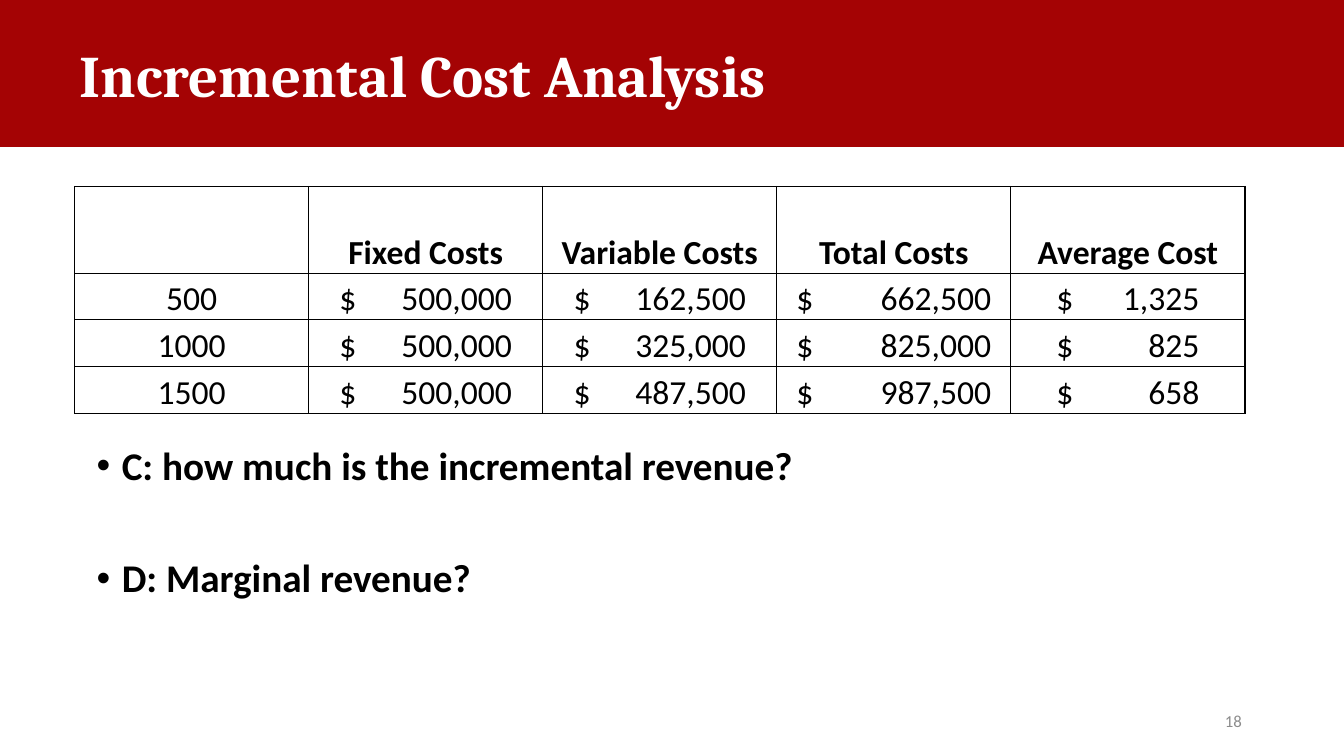
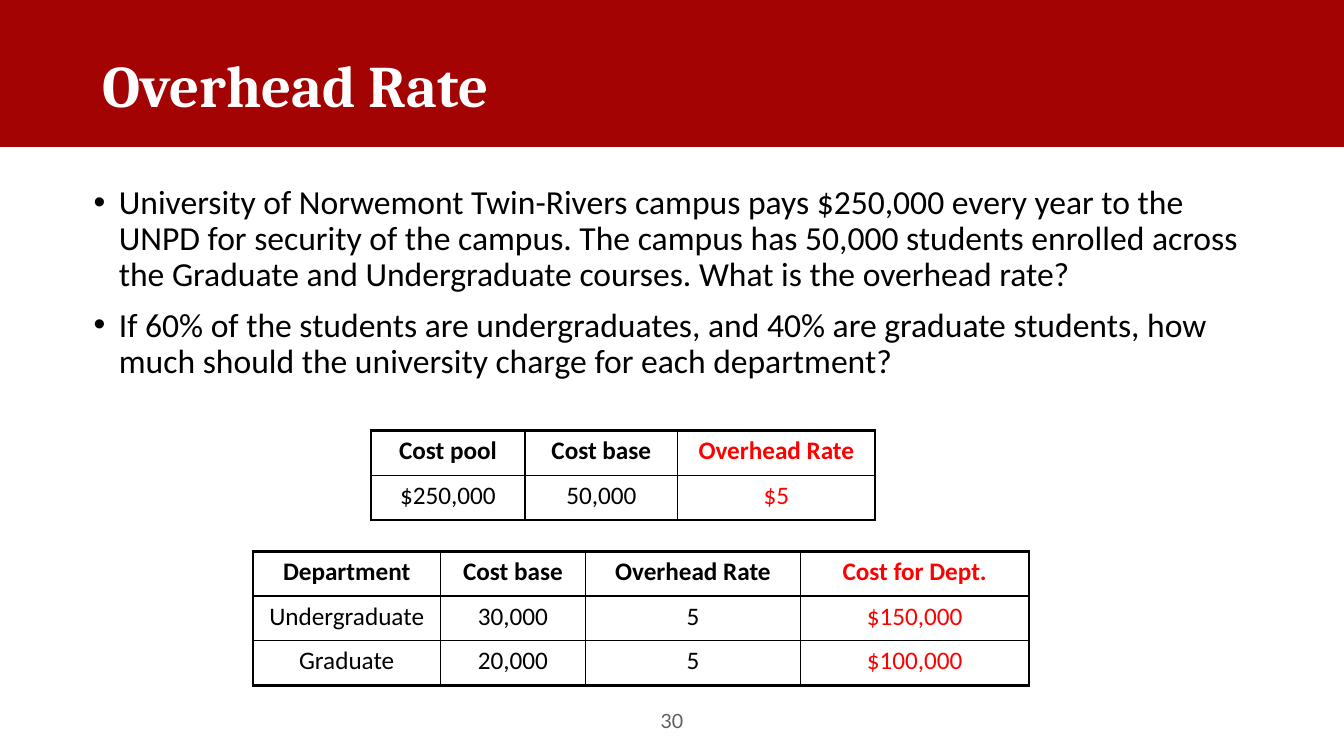
from dataclasses import dataclass
from typing import NamedTuple

from lxml import etree
from pptx import Presentation
from pptx.dml.color import RGBColor
from pptx.enum.shapes import MSO_SHAPE
from pptx.enum.text import MSO_ANCHOR, MSO_AUTO_SIZE, PP_ALIGN
from pptx.oxml.ns import qn
from pptx.util import Pt

LEFT, CENTER, RIGHT = PP_ALIGN.LEFT, PP_ALIGN.CENTER, PP_ALIGN.RIGHT
TOP, MIDDLE, BOTTOM = MSO_ANCHOR.TOP, MSO_ANCHOR.MIDDLE, MSO_ANCHOR.BOTTOM
RECTANGLE = MSO_SHAPE.RECTANGLE
NO_FIT = MSO_AUTO_SIZE.NONE
TITLE_ONLY = 5


@dataclass(frozen=True)
class Theme:
    """Colours, fonts and type sizes of the deck."""

    band: str = "A40304"
    title: str = "FFFFFF"
    ink: str = "000000"
    accent: str = "FF0000"
    grey: str = "8C8C8C"
    dark_grey: str = "5F5F5F"
    title_font: str = "Cambria"
    body_font: str = "Calibri"
    number_font: str = "Lato"
    title_size: float = 42
    question_size: float = 28
    body_size: float = 24
    table_size: float = 18
    number_size: float = 14
    small_size: float = 12
    thin: float = 1
    thick: float = 2.25
    leading: float = 0.9
    bullet_gap: float = 10
    bullet_indent: float = 18


class Box(NamedTuple):
    """A region in points."""

    left: float
    top: float
    width: float
    height: float

    def lengths(self):
        """Return the four measures as lengths."""
        return [Pt(measure) for measure in self]


THEME = Theme()
PAGE = Box(0, 0, 960, 540)
BAND = Box(0, 0, PAGE.width, 104.4)


def write(paragraph, text, *, size, font=THEME.body_font, color=THEME.ink,
          bold=False, align=LEFT, leading=None, before=None):
    """Add formatted text to a paragraph."""
    paragraph.alignment = align
    if leading:
        paragraph.line_spacing = leading
    if before is not None:
        paragraph.space_before = Pt(before)
    run = paragraph.add_run()
    run.text = text
    run.font.name = font
    run.font.size = Pt(size)
    run.font.bold = bold
    run.font.color.rgb = RGBColor.from_string(color)


def add_bullet(paragraph):
    """Give a paragraph a hanging bullet."""
    properties = paragraph._p.get_or_add_pPr()
    indent = Pt(THEME.bullet_indent)
    properties.set("marL", str(indent))
    properties.set("indent", str(-indent))
    etree.SubElement(properties, qn("a:buFont"), typeface="Arial")
    etree.SubElement(properties, qn("a:buChar"), char="•")


def add_right_tab(paragraph, position):
    """Set one right-aligned tab stop."""
    stops = etree.SubElement(paragraph._p.get_or_add_pPr(), qn("a:tabLst"))
    etree.SubElement(stops, qn("a:tab"), pos=str(Pt(position)), algn="r")


def add_border(cell, side, weight):
    """Draw one side of a table cell."""
    line = etree.SubElement(cell._tc.get_or_add_tcPr(), qn(f"a:ln{side}"),
                            w=str(Pt(weight)))
    fill = etree.SubElement(line, qn("a:solidFill"))
    etree.SubElement(fill, qn("a:srgbClr"), val=THEME.ink)


def add_header(slide, box, text):
    """Place the band and, over it, the title."""
    band = slide.shapes.add_shape(RECTANGLE, *BAND.lengths())
    band.shadow.inherit = False
    color = RGBColor.from_string(THEME.band)
    band.fill.solid()
    band.fill.fore_color.rgb = color
    band.line.color.rgb = color
    band.line.width = Pt(THEME.thin)
    title = slide.shapes.title
    title.element.addprevious(band.element)
    title.left, title.top, title.width, title.height = box.lengths()
    frame = title.text_frame
    frame.auto_size = NO_FIT
    frame.word_wrap = True
    frame.vertical_anchor = MIDDLE
    write(frame.paragraphs[0], text, size=THEME.title_size, bold=True,
          font=THEME.title_font, color=THEME.title, leading=THEME.leading)


def add_text_frame(slide, box, anchor=TOP):
    """Place an empty wrapping text box and return its frame."""
    frame = slide.shapes.add_textbox(*box.lengths()).text_frame
    frame.word_wrap = True
    frame.vertical_anchor = anchor
    return frame


def add_page_number(slide, box, number, **style):
    """Place the page number."""
    frame = add_text_frame(slide, box, MIDDLE)
    write(frame.paragraphs[0], number, **style)


def add_bullets(slide, box, items, gap=THEME.bullet_gap, **style):
    """Place a bulleted list with a gap between its items."""
    frame = add_text_frame(slide, box)
    for index, item in enumerate(items):
        paragraph = frame.add_paragraph() if index else frame.paragraphs[0]
        write(paragraph, item, leading=THEME.leading,
              before=gap if index else THEME.bullet_gap, **style)
        add_bullet(paragraph)


def add_grid(slide, box, rows, shares, heights, *, size, edges, accent=False):
    """Place a ruled table whose columns share the box width."""
    last_row, last_column = len(rows) - 1, len(shares) - 1
    table = slide.shapes.add_table(len(rows), len(shares), *box.lengths()).table
    table.horz_banding = False
    for column, share in zip(table.columns, shares):
        column.width = Pt(box.width * share / sum(shares))
    for row, height in zip(table.rows, heights):
        row.height = Pt(height)
    for r, row in enumerate(rows):
        for c, text in enumerate(row):
            cell = table.cell(r, c)
            outer = {"L": c == 0, "R": c == last_column,
                     "T": r == 0, "B": r == last_row}
            for side, is_outer in outer.items():
                add_border(cell, side, edges[side] if is_outer else THEME.thin)
            cell.fill.background()
            if text:
                red = accent and c == last_column
                write(cell.text_frame.paragraphs[0], text, size=size,
                      bold=r == 0, align=CENTER,
                      color=THEME.accent if red else THEME.ink)
    return table


def add_cost_table(slide, box, rows, pads):
    """Place the cost table with dollar signs left and amounts right."""
    header = 62
    row_height = (box.height - header) / (len(rows) - 1)
    table = add_grid(slide, box, rows, [1] * len(rows[0]),
                     [header] + [row_height] * (len(rows) - 1),
                     size=THEME.body_size,
                     edges=dict.fromkeys("LRTB", THEME.thin))
    column_width = box.width / len(rows[0])
    for r, row in enumerate(rows):
        for c, text in enumerate(row):
            cell = table.cell(r, c)
            cell.vertical_anchor = BOTTOM
            cell.margin_left = cell.margin_right = cell.margin_top = Pt(0.7)
            cell.margin_bottom = 0
            if text.startswith("$"):
                pad = pads[c - 1]
                cell.margin_left = Pt(pad)
                paragraph = cell.text_frame.paragraphs[0]
                paragraph.alignment = LEFT
                add_right_tab(paragraph, column_width - 2 * pad)


def add_rate_table(slide, box, rows, shares, right_edge):
    """Place a heavy-framed table with its result column in red."""
    edges = dict.fromkeys("LTB", THEME.thick) | {"R": right_edge}
    add_grid(slide, box, rows, shares, [box.height / len(rows)] * len(rows),
             size=THEME.table_size, edges=edges, accent=True)


def build_cost_slide(slide):
    """Build the incremental cost slide."""
    add_header(slide, Box(49.7, 3.6, 828, 104.4), "Incremental Cost Analysis")
    add_cost_table(slide, Box(53.3, 133.2, 836, 162), [
        ["", "Fixed Costs", "Variable Costs", "Total Costs", "Average Cost"],
        ["500", "$\t500,000", "$\t162,500", "$\t662,500", "$\t1,325"],
        ["1000", "$\t500,000", "$\t325,000", "$\t825,000", "$\t825"],
        ["1500", "$\t500,000", "$\t487,500", "$\t987,500", "$\t658"],
    ], pads=[22, 22, 14, 32.5])
    add_bullets(slide, Box(61.9, 315.4, 828, 199.4), [
        "C: how much is the incremental revenue?",
        "D: Marginal revenue?",
    ], gap=50, size=THEME.question_size, bold=True)
    add_page_number(slide, Box(678.2, 500.4, 216, 28.8), "18",
                    size=THEME.small_size, color=THEME.grey, align=RIGHT)


def build_overhead_slide(slide):
    """Build the overhead rate slide."""
    add_header(slide, Box(66.2, 10.8, 828, 104.4), "Overhead Rate")
    add_bullets(slide, Box(59.8, 128.9, 840, 282), [
        "University of Norwemont Twin-Rivers campus pays $250,000 every year "
        "to the UNPD for security of the campus. The campus has 50,000 "
        "students enrolled across the Graduate and Undergraduate courses. "
        "What is the overhead rate?",
        "If 60% of the students are undergraduates, and 40% are graduate "
        "students, how much should the university charge for each department?",
    ], size=THEME.body_size)
    add_rate_table(slide, Box(265, 307.4, 360, 64), [
        ["Cost pool", "Cost base", "Overhead Rate"],
        ["$250,000", "50,000", "$5"],
    ], [1.53, 1.52, 1.96], THEME.thin)
    add_rate_table(slide, Box(180.7, 393.8, 554.4, 96), [
        ["Department", "Cost base", "Overhead Rate", "Cost for Dept."],
        ["Undergraduate", "30,000", "5", "$150,000"],
        ["Graduate", "20,000", "5", "$100,000"],
    ], [1.86, 1.44, 2.13, 2.27], THEME.thick)
    add_page_number(slide, Box(318, 500.4, 324, 28.8), "30",
                    size=THEME.number_size, font=THEME.number_font,
                    color=THEME.dark_grey, align=CENTER)


def main():
    """Build and save the deck."""
    deck = Presentation()
    deck.slide_width, deck.slide_height = Pt(PAGE.width), Pt(PAGE.height)
    for build in (build_cost_slide, build_overhead_slide):
        build(deck.slides.add_slide(deck.slide_layouts[TITLE_ONLY]))
    deck.save("out.pptx")


if __name__ == "__main__":
    main()
